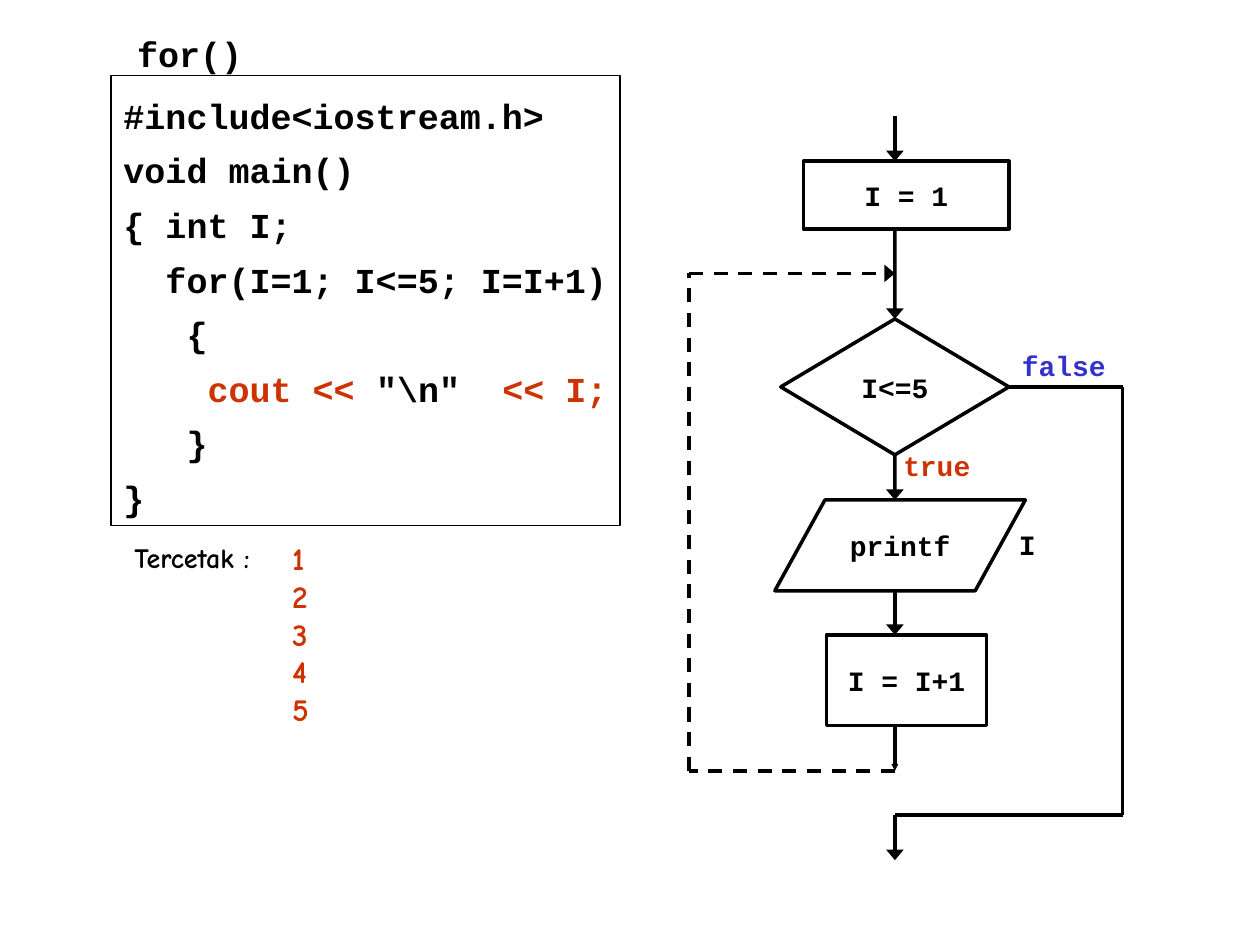
from pptx import Presentation
from pptx.dml.color import RGBColor
from pptx.enum.dml import MSO_LINE_DASH_STYLE as Dash
from pptx.enum.shapes import MSO_CONNECTOR, MSO_SHAPE as Shape
from pptx.enum.text import MSO_ANCHOR as Anchor, MSO_AUTO_SIZE as AutoSize, PP_ALIGN as Align
from pptx.oxml.ns import qn
from pptx.util import Cm, Pt
from lxml.etree import SubElement

BLACK = RGBColor(0x00, 0x00, 0x00)
RED = RGBColor(0xCC, 0x33, 0x00)
BLUE = RGBColor(0x33, 0x33, 0xCC)
CODE_FONT = "Courier New"
NOTE_FONT = "Comic Neue"

# Flowchart guides, in centimetres
AXIS = 18.04
LOOP_X, LOOP_TOP, LOOP_BOTTOM = 13.89, 5.51, 15.54
EXIT_X, EXIT_Y = 22.63, 16.43
STEP = 0.91

CODE = [
    [("#include<iostream.h>", BLACK)],
    [("void main()", BLACK)],
    [("{ int I;", BLACK)],
    [("  for(I=1; I<=5; I=I+1)", BLACK)],
    [("   {", BLACK)],
    [("    cout << ", RED), ('"\\n"  ', BLACK), ("<< I;", RED)],
    [("   }", BLACK)],
    [("}", BLACK)],
]


def place(shape, left, top, width, height):
    shape.left, shape.top, shape.width, shape.height = map(Cm, (left, top, width, height))


def write(shape, lines, size, font=CODE_FONT, align=Align.LEFT, anchor=Anchor.TOP, spacing=None):
    """Fill a shape with lines, each a list of (text, colour) runs."""
    frame = shape.text_frame
    frame.word_wrap = False
    frame.auto_size = AutoSize.NONE
    frame.vertical_anchor = anchor
    for index, runs in enumerate(lines):
        paragraph = frame.add_paragraph() if index else frame.paragraphs[0]
        paragraph.alignment = align
        if spacing:
            paragraph.line_spacing = spacing
        paragraph.font.name = font
        paragraph.font.size = Pt(size)
        paragraph.font.bold = True
        paragraph.font.color.rgb = runs[0][1]
        for text, color in runs:
            run = paragraph.add_run()
            run.text = text
            if color != runs[0][1]:
                run.font.color.rgb = color


def add_label(slide, box, lines, size=16, font=CODE_FONT, color=BLACK):
    label = slide.shapes.add_textbox(*map(Cm, box))
    write(label, [[(line, color)] for line in lines], size, font)


def add_outline(slide, kind, box, weight):
    shape = slide.shapes.add_shape(kind, *map(Cm, box))
    shape.shadow.inherit = False
    shape.fill.background()
    shape.line.color.rgb = BLACK
    shape.line.width = Pt(weight)
    return shape


def add_node(slide, kind, box, text):
    node = add_outline(slide, kind, box, 2)
    write(node, [[(text, BLACK)]], 16, align=Align.CENTER, anchor=Anchor.MIDDLE)
    return node


def add_line(slide, start, end, head=None, dashed=False):
    """Draw a flow line; head is the arrowhead's (width, length)."""
    line = slide.shapes.add_connector(MSO_CONNECTOR.STRAIGHT, *map(Cm, start + end))
    line.line.color.rgb = BLACK
    line.line.width = Pt(2)
    if dashed:
        line.line.dash_style = Dash.DASH
    if head:
        SubElement(line.line._get_or_add_ln(), qn("a:tailEnd"),
                   type="triangle", w=head[0], len=head[1])
    SubElement(line._element.spPr, qn("a:effectLst"))
    return line


def add_program(slide):
    # Heading, wide enough to stay on one line, and code listing
    title = slide.shapes.title
    place(title, 2.51, 0.53, 3.2, 1.12)
    write(title, [[("for()", BLACK)]], 20)
    listing = add_outline(slide, Shape.RECTANGLE, (2.24, 1.52, 10.26, 9.07), 0.75)
    write(listing, CODE, 20, spacing=1.3)

    # Printed output
    add_label(slide, (2.46, 10.77, 2.9, 0.94), ["Tercetak :"], font=NOTE_FONT)
    add_label(slide, (5.64, 10.74, 0.84, 4.06), "12345", 18, NOTE_FONT, RED)


def add_flowchart(slide):
    # Nodes
    add_node(slide, Shape.RECTANGLE, (16.2, 3.25, 4.14, 1.37), "I = 1")
    decision = add_node(slide, Shape.FLOWCHART_DECISION, (AXIS - 2.3, 6.43, 4.6, 2.74), "I<=5")
    add_node(slide, Shape.FLOWCHART_DATA, (15.62, 10.08, 5.05, 1.83), "printf")
    add_node(slide, Shape.RECTANGLE, (16.66, 12.8, 3.23, 1.83), "I = I+1")

    # Downward flow along the axis
    head = ("lg", "med")
    add_line(slide, (AXIS, 2.34), (AXIS, 3.25), head)
    enter = add_line(slide, (AXIS, 4.62), (AXIS, 6.43), head)
    enter.end_connect(decision, 0)
    accept = add_line(slide, (AXIS, 9.17), (AXIS, 10.08), head)
    accept.begin_connect(decision, 2)
    add_line(slide, (AXIS, 11.89), (AXIS, 12.8), head)
    add_line(slide, (AXIS, LOOP_BOTTOM - STEP), (AXIS, LOOP_BOTTOM), ("sm", "sm"))

    # Loop back
    add_line(slide, (AXIS, LOOP_BOTTOM), (LOOP_X, LOOP_BOTTOM), dashed=True)
    add_line(slide, (LOOP_X, LOOP_BOTTOM), (LOOP_X, LOOP_TOP), dashed=True)
    add_line(slide, (LOOP_X, LOOP_TOP), (AXIS, LOOP_TOP), head, dashed=True)

    # Exit branch
    leave = add_line(slide, (AXIS + 2.3, 7.8), (EXIT_X, 7.8))
    leave.begin_connect(decision, 3)
    add_line(slide, (EXIT_X, 7.8), (EXIT_X, EXIT_Y))
    add_line(slide, (EXIT_X, EXIT_Y), (AXIS, EXIT_Y))
    add_line(slide, (AXIS, EXIT_Y), (AXIS, EXIT_Y + STEP), head)

    # Labels
    add_label(slide, (20.29, 10.52, 0.84, 0.94), ["I"])
    add_label(slide, (20.35, 6.91, 2.18, 0.94), ["false"], color=BLUE)
    add_label(slide, (17.96, 8.92, 1.86, 0.94), ["true"], color=RED)


def main():
    presentation = Presentation()
    presentation.slide_width, presentation.slide_height = Cm(25.4), Cm(19.05)
    slide = presentation.slides.add_slide(presentation.slide_layouts[5])
    add_program(slide)
    add_flowchart(slide)
    presentation.save("out.pptx")


if __name__ == "__main__":
    main()
